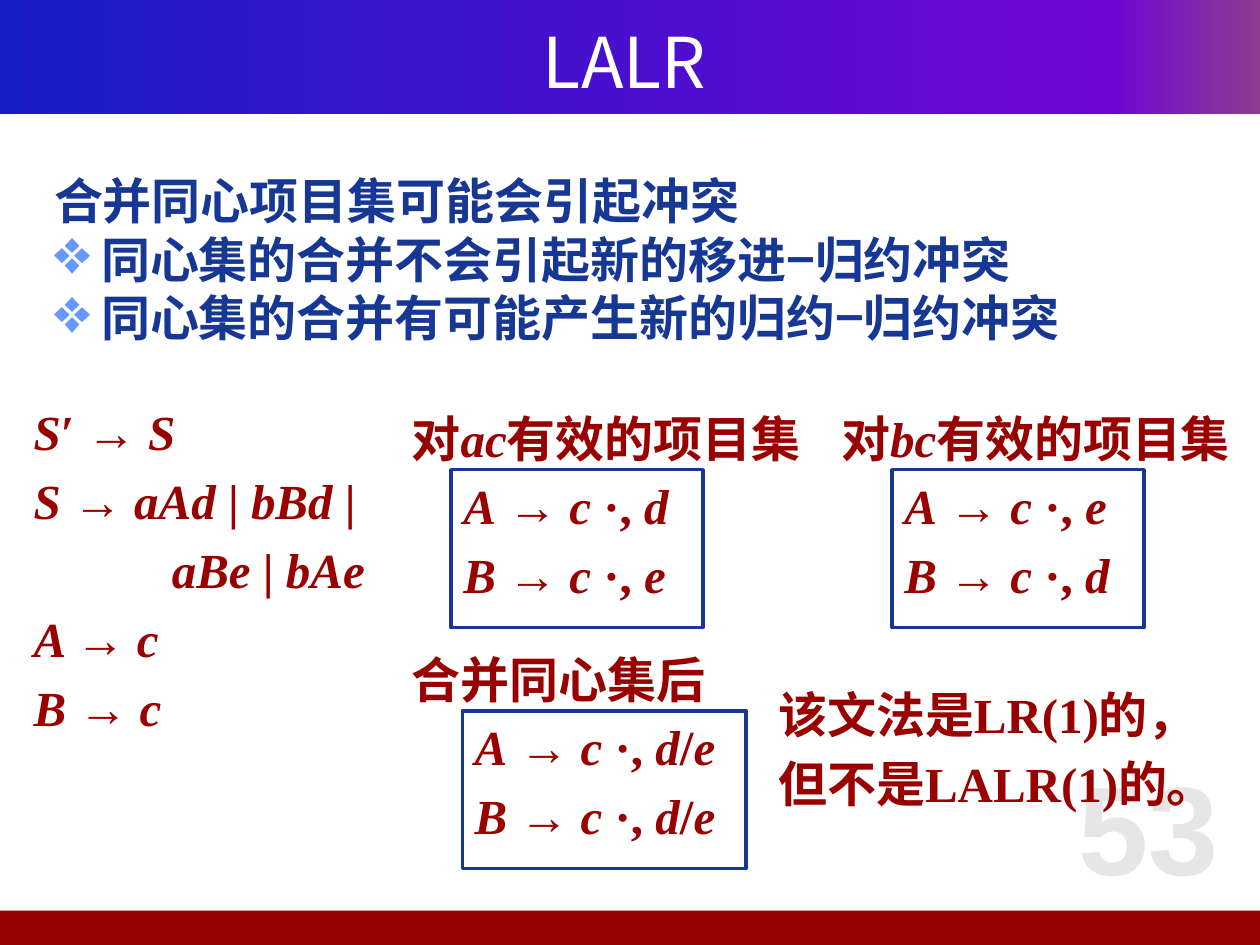
from itertools import groupby
from lxml import etree
from pptx import Presentation
from pptx.dml.color import RGBColor as Rgb
from pptx.enum.shapes import MSO_SHAPE as Shape
from pptx.enum.text import MSO_ANCHOR as Anchor, PP_ALIGN as Align
from pptx.oxml.ns import qn
from pptx.util import Cm, Pt

INK = {"blue": "163794", "red": "990000", "mark": "6699FF",
       "pale": "E6E6E6", "white": "FFFFFF"}
BAND = [(0, "181CC7"), (88, "7005D4"), (100, "8C3D91")]
HAN, SERIF = "Noto Sans CJK SC", "Times New Roman"


class Page:
    size, pitch, gap = 28, 33.4, 6

    def __init__(self, slide):
        self.slide = slide

    def style(self, run, font, size, ink, bold=True, slant=False):
        face = run.font
        face.name, face.size = font, Pt(size)
        face.bold, face.italic = bold, slant
        face.color.rgb = Rgb.from_string(INK[ink])
        east = etree.SubElement(run._r.get_or_add_rPr(), qn("a:ea"))
        east.set("typeface", HAN)

    def rect(self, x, y, w, h, fill=None, line=None):
        box = self.slide.shapes.add_shape(
            Shape.RECTANGLE, Cm(x), Cm(y), Cm(w), Cm(h))
        box.shadow.inherit = False
        if fill:
            box.fill.solid()
            box.fill.fore_color.rgb = Rgb.from_string(INK[fill])
        else:
            box.fill.background()
        if line:
            box.line.color.rgb = Rgb.from_string(INK[line])
            box.line.width = Pt(2)
        else:
            box.line.fill.background()
        return box

    def band(self, x, y, w, h, stops):
        box = self.rect(x, y, w, h)
        box.fill.gradient()
        box.fill.gradient_angle = 0
        group = box._element.spPr.find(".//" + qn("a:gsLst"))
        for old in list(group):
            group.remove(old)
        for at, tone in stops:
            stop = etree.SubElement(group, qn("a:gs"), pos=str(at * 1000))
            etree.SubElement(stop, qn("a:srgbClr"), val=tone)

    def text(self, x, y, w, h):
        box = self.slide.shapes.add_textbox(Cm(x), Cm(y), Cm(w), Cm(h))
        box.text_frame.word_wrap = True
        return box.text_frame

    def line(self, x, y, w, h, text, font, size, ink, bold):
        frame = self.text(x, y, w, h)
        frame.text = text
        frame.vertical_anchor = Anchor.MIDDLE
        para = frame.paragraphs[0]
        para.alignment = Align.CENTER
        self.style(para.runs[0], font, size, ink, bold)

    def points(self, x, y, w, h, head, items):
        frame = self.text(x, y, w, h)
        frame.text = "\n".join([head] + items)
        for num, para in enumerate(frame.paragraphs):
            para.line_spacing = Pt(self.pitch)
            self.style(para.runs[0], HAN, self.size, "blue")
            props = para._p.get_or_add_pPr()
            props.set("marL", str(Cm(0.95)))
            props.set("indent", str(-Cm(0.95)))
            if num:
                tint = etree.SubElement(props, qn("a:buClr"))
                etree.SubElement(tint, qn("a:srgbClr"), val=INK["mark"])
                etree.SubElement(props, qn("a:buSzPct"), val="130000")
                etree.SubElement(props, qn("a:buChar"), char="❖")

    def rules(self, frame, rows, wrap=False):
        """Asterisks enclose italic symbols."""
        frame.word_wrap = wrap
        frame.vertical_anchor = Anchor.TOP
        for num, row in enumerate(rows):
            para = frame.add_paragraph() if num else frame.paragraphs[0]
            para.alignment = Align.LEFT
            para.line_spacing = Pt(self.pitch)
            para.space_before = Pt(self.gap)
            if "\t" in row:
                tabs = etree.SubElement(para._p.get_or_add_pPr(),
                                        qn("a:tabLst"))
                etree.SubElement(tabs, qn("a:tab"), pos=str(Cm(2.54)),
                                 algn="l")
            for odd, part in enumerate(row.split("*")):
                for han, signs in groupby(part, lambda c: ord(c) > 0x2E80):
                    run = para.add_run()
                    run.text = "".join(signs)
                    self.style(run, HAN if han else SERIF, self.size, "red",
                               slant=odd % 2 == 1)

    def label(self, x, y, row):
        frame = self.text(x, y, 8.9, 1.7)
        self.rules(frame, [row])
        frame.vertical_anchor = Anchor.MIDDLE

    def items(self, x, y, w, first, second):
        box = self.rect(x, y, w, 3.18, line="blue")
        self.rules(box.text_frame, [f"*A* → *c* ·, {first}",
                                    f"*B* → *c* ·, {second}"])


deck = Presentation()
deck.slide_width, deck.slide_height = Cm(25.4), Cm(19.05)
page = Page(deck.slides.add_slide(deck.slide_layouts[6]))

# Frame and title
page.band(0, 0, 25.4, 2.31, BAND)
page.rect(-0.1, 18.36, 25.5, 0.69, fill="red")
page.line(20.9, 15.14, 4.5, 3.0, "53", "Arial", 72, "pale", True)
page.line(0.84, 0.43, 23.5, 1.57, "LALR", HAN, 40, "white", False)

# Main points
page.points(0.84, 3.33, 23.7, 4.45, "合并同心项目集可能会引起冲突",
            ["同心集的合并不会引起新的移进−归约冲突",
             "同心集的合并有可能产生新的归约−归约冲突"])

# Grammar
page.rules(page.text(0.43, 7.98, 8.05, 7.82),
           ["*S*′ →* S*", "*S *→* aAd *|* bBd *|", "\t* aBe* |* bAe*",
            "*A *→* c*", "*B *→* c*"], wrap=True)

# Item sets, before and after merging
page.label(8.05, 7.98, "对*ac*有效的项目集")
page.items(9.09, 9.47, 5.08, "*d*", "*e*")
page.label(16.71, 7.98, "对*bc*有效的项目集")
page.items(17.98, 9.47, 5.08, "*e*", "*d*")
page.label(8.05, 12.85, "合并同心集后")
page.items(9.32, 14.33, 5.72, "*d*/*e*", "*d*/*e*")

# Conclusion
page.rules(page.text(15.44, 13.69, 9.09, 3.18),
           ["该文法是LR(1)的，", "但不是LALR(1)的。"])

deck.save("out.pptx")
